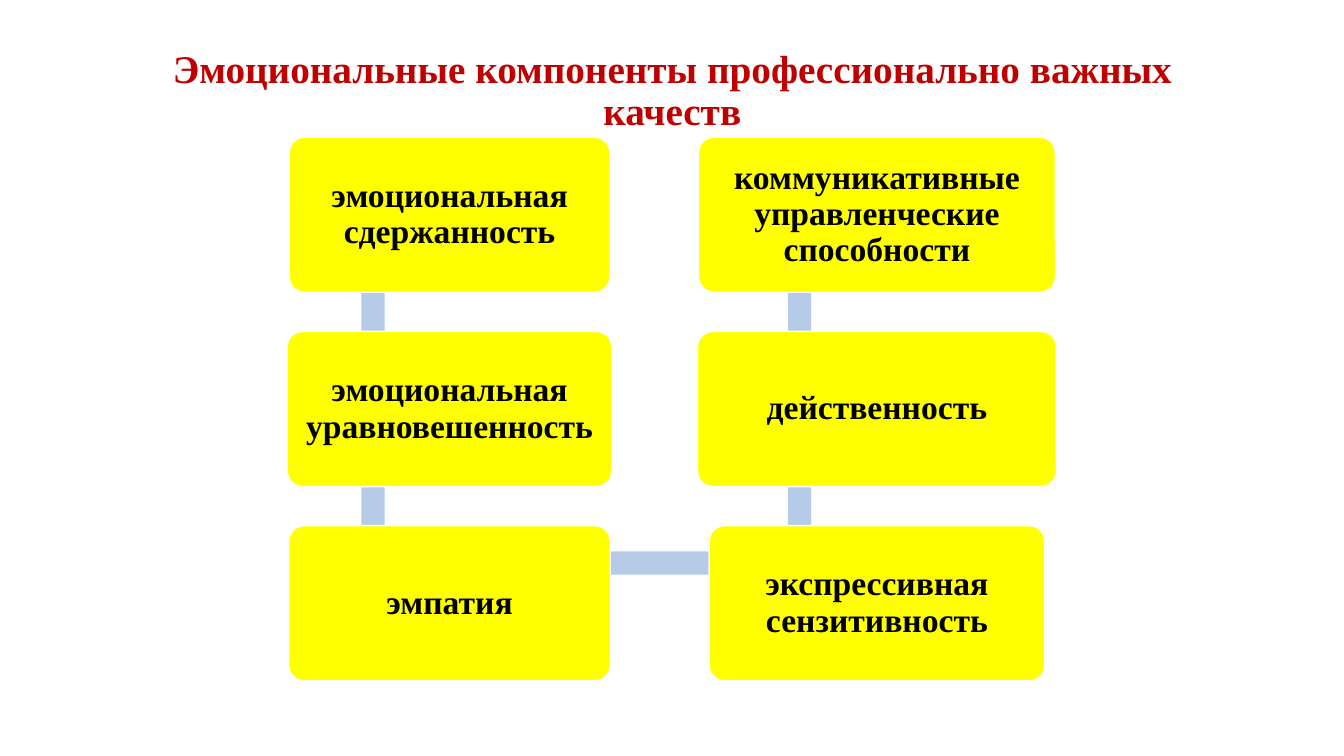
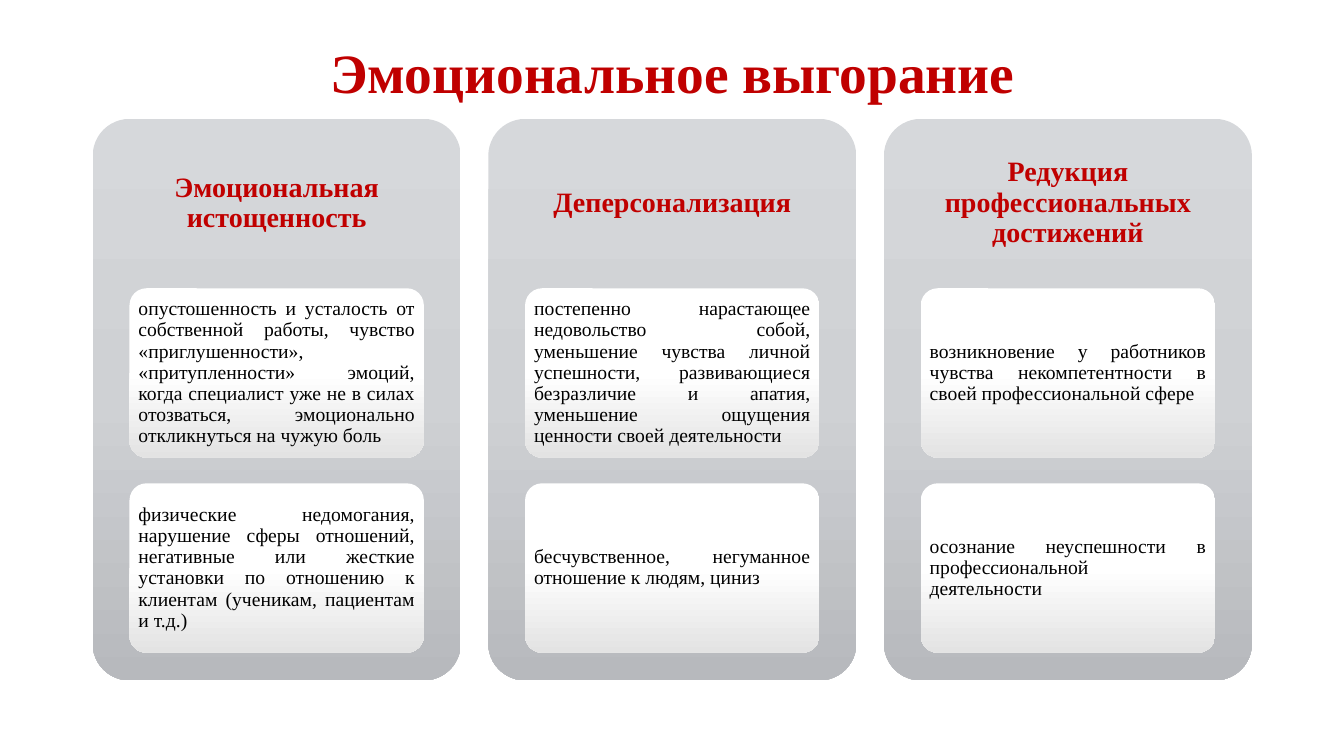
from copy import deepcopy

from pptx import Presentation
from pptx import util as u
from pptx.dml.color import RGBColor
from pptx.enum import shapes, text
from pptx.oxml.ns import qn

FONT = "Times New Roman"
RED, BLACK, WHITE = "C00000", "000000", "FFFFFF"
YELLOW, BLUE = "FFFF00", "B5CBE7"
PANEL_FILL = ("D6D8DB", "CFD1D4", "B7B9BD")
CARD_FILL = (WHITE, WHITE, "E3E3E3")
CENTER, JUSTIFY = text.PP_ALIGN.CENTER, text.PP_ALIGN.JUSTIFY
LEFT, WIDTH = 6.9, 86.25  # content area, shared by titles and panels


def rgb(value):
    return RGBColor.from_string(value)


class Deck:
    """Style and current slide; lengths are percent of the slide's size."""

    def __init__(self):
        self.prs = Presentation()
        self.prs.slide_width = u.Inches(13.33)
        self.prs.slide_height = u.Inches(7.5)
        self.s = None

    def place(self, x, y, w, h):
        sw, sh = self.prs.slide_width, self.prs.slide_height
        return [round(n * size / 100) for n, size in ((x, sw), (y, sh), (w, sw), (h, sh))]

    def set_text(self, sp, words, size, color, bold=True, align=CENTER, margins=(0.1, 0.05)):
        tf = sp.text_frame
        tf.text = words
        tf.word_wrap = True
        tf.auto_size = text.MSO_AUTO_SIZE.NONE
        tf.vertical_anchor = text.MSO_ANCHOR.MIDDLE
        tf.margin_left = tf.margin_right = u.Inches(margins[0])
        tf.margin_top = tf.margin_bottom = u.Inches(margins[1])
        p = tf.paragraphs[0]
        p.alignment, p.line_spacing = align, 0.9
        font = p.runs[0].font
        font.name, font.size, font.bold = FONT, u.Pt(size), bold
        font.color.rgb = rgb(color)

    def slide(self, title, size, height):
        self.s = self.prs.slides.add_slide(self.prs.slide_layouts[5])
        sp = self.s.shapes.title
        sp.left, sp.top, sp.width, sp.height = self.place(LEFT, 5.33, WIDTH, height)
        self.set_text(sp, title, size, RED)

    def shape(self, x, y, w, h, fill, line=None, rounded=True):
        kinds = shapes.MSO_SHAPE
        kind = kinds.ROUNDED_RECTANGLE if rounded else kinds.RECTANGLE
        sp = self.s.shapes.add_shape(kind, *self.place(x, y, w, h))
        sp.shadow.inherit = False
        if rounded:
            sp.adjustments[0] = 0.1
        if isinstance(fill, str):
            sp.fill.solid()
            sp.fill.fore_color.rgb = rgb(fill)
        else:
            self.gradient(sp, fill)
        if line:
            sp.line.color.rgb = rgb(line)
            sp.line.width = u.Pt(1)
        else:
            sp.line.fill.background()
        return sp

    def gradient(self, sp, colors):
        """Top-to-bottom gradient with three evenly spaced stops."""
        sp.fill.gradient()
        sp.fill.gradient_angle = 270
        first = next(sp._element.iter(qn("a:gs")))
        first.addnext(deepcopy(first))
        for i, (stop, color) in enumerate(zip(sp.fill.gradient_stops, colors)):
            stop.position = i / 2
            stop.color.rgb = rgb(color)

    def label(self, x, y, w, h, words, size, color):
        sp = self.s.shapes.add_textbox(*self.place(x, y, w, h))
        self.set_text(sp, words, size, color, margins=(0.08, 0.08))


def components_slide(deck):
    deck.slide("Эмоциональные компоненты профессионально важных качеств", 28, 13.6)
    # Bars that link the boxes, lying behind them
    bar_w, bar_h = 1.73, 3.07
    bar_xs = (27.76, 59.49)
    for x in bar_xs:
        deck.shape(x - bar_w / 2, 23, bar_w, 51, BLUE, rounded=False)
    deck.shape(bar_xs[0], 72.93, bar_xs[1] - bar_xs[0], bar_h, BLUE, rounded=False)
    # Two columns of boxes: column centre, then width and text of each box
    columns = (
        (33.45, ((23.86, "эмоциональная сдержанность"),
                 (24.16, "эмоциональная уравновешенность"),
                 (23.93, "эмпатия"))),
        (65.25, ((26.56, "коммуникативные управленческие способности"),
                 (26.71, "действенность"),
                 (24.98, "экспрессивная сензитивность"))),
    )
    for center, boxes in columns:
        for row, (w, words) in enumerate(boxes):
            sp = deck.shape(center - w / 2, 18.13 + row * 25.7, w, 20.53, YELLOW, WHITE)
            deck.set_text(sp, words, 24, BLACK, margins=(0.1, 0.1))


def burnout_slide(deck):
    deck.slide("Эмоциональное выгорание", 39.6, 9.33)
    panels = (
        ("Эмоциональная истощенность",
         "опустошенность и усталость от собственной работы, чувство «приглушенности», "
         "«притупленности» эмоций, когда специалист уже не в силах отозваться, "
         "эмоционально откликнуться на чужую боль",
         "физические недомогания, нарушение сферы отношений, негативные или жесткие "
         "установки по отношению к клиентам (ученикам, пациентам и т.д.)"),
        ("Деперсонализация",
         "постепенно нарастающее недовольство собой, уменьшение чувства личной "
         "успешности, развивающиеся безразличие и апатия, уменьшение ощущения "
         "ценности своей деятельности",
         "бесчувственное, негуманное отношение к людям, циниз"),
        ("Редукция профессиональных достижений",
         "возникновение у работников чувства некомпетентности в своей "
         "профессиональной сфере",
         "осознание неуспешности в профессиональной деятельности"),
    )
    top, w = 15.73, 27.38
    pitch = (WIDTH - w) / (len(panels) - 1)
    for col, (heading, *cards) in enumerate(panels):
        # Panel with its heading
        x = LEFT + col * pitch
        deck.shape(x, top, w, 74.27, PANEL_FILL)
        deck.label(x, top, w, 22.27, heading, 20, RED)
        # Cards, a tenth of the panel in from each side
        for row, words in enumerate(cards):
            sp = deck.shape(x + w / 10, 38.13 + row * 25.8, w * 0.8, 22.4, CARD_FILL)
            deck.set_text(sp, words, 14, BLACK, False, JUSTIFY, (0.04, 0.03))


def main():
    deck = Deck()
    components_slide(deck)
    burnout_slide(deck)
    deck.prs.save("out.pptx")


if __name__ == "__main__":
    main()
